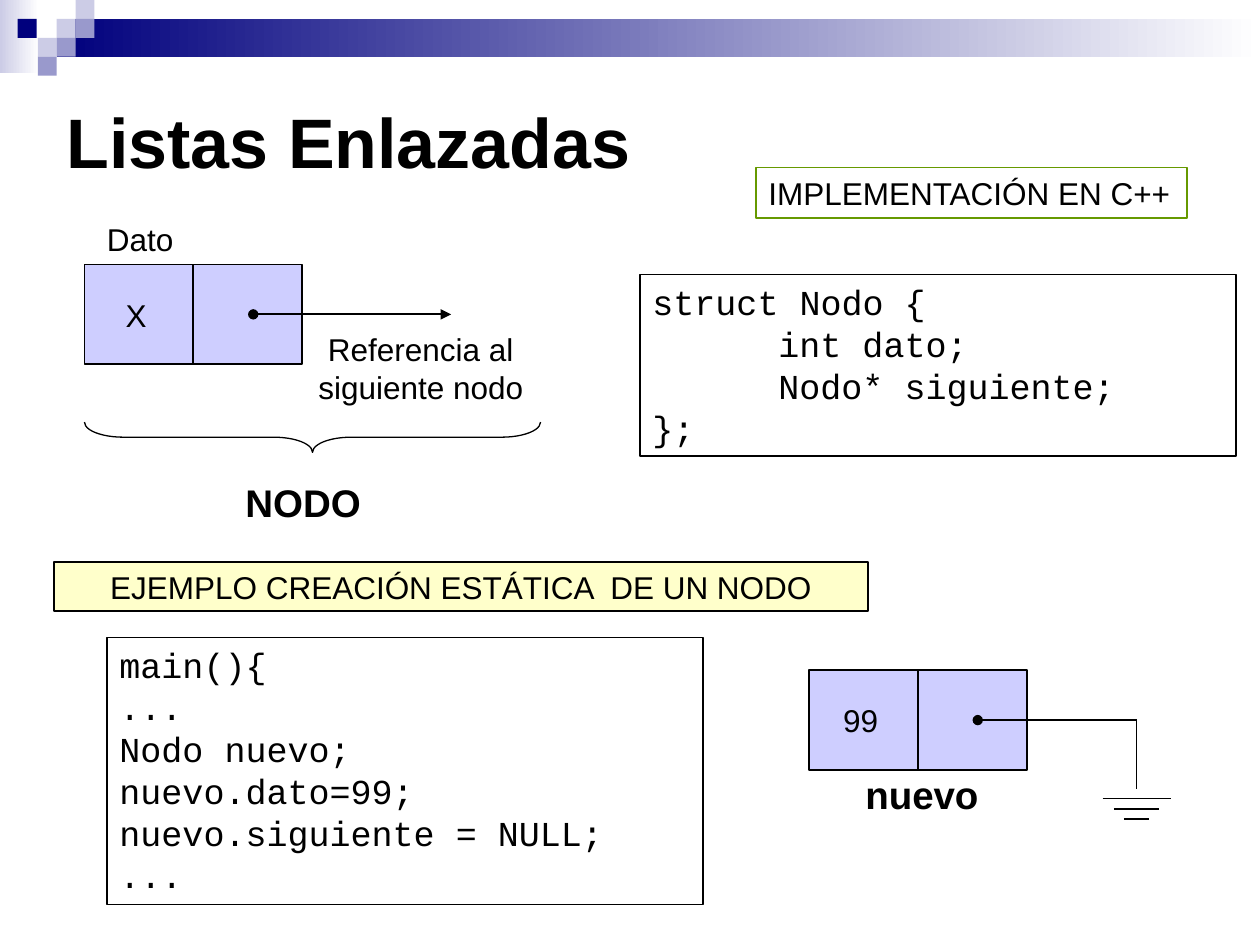
from lxml import etree
from pptx import Presentation
from pptx.dml.color import RGBColor
from pptx.enum import shapes, text
from pptx.oxml.ns import qn
from pptx.util import Inches, Pt

COLORS = {"black": "000000", "navy": "00007D", "pale": "CCCCE6", "lilac": "9999CC",
          "white": "FFFFFF", "node": "9999FF", "yellow": "FFFF99", "green": "669900"}
LABEL = {"name": "Arial", "size": Pt(18), "bold": False}
CAPTION = {"name": "Arial", "size": Pt(22), "bold": True}
TITLE = {"name": "Arial", "size": Pt(40), "bold": True}
CODE = {"name": "Courier New", "size": Pt(20), "bold": False}
STRUCT_CODE = ["struct Nodo {", "\tint dato;", "\tNodo* siguiente;", "};"]
MAIN_CODE = ["main(){", "...", "Nodo nuevo;", "nuevo.dato=99;",
             "nuevo.siguiente = NULL;", "..."]
CELL = 0.15
PIXELS = [(0.45, 0.15, "pale"), (0.6, 0, "pale"), (0.6, 0.15, "lilac"),
          (0.3, 0.3, "pale"), (0.14, 0.15, "navy"), (0.45, 0.3, "lilac"),
          (0.3, 0.45, "lilac")]
NODE_WIDTH, NODE_HEIGHT = 1.73, 0.79


def rgb(name):
    return RGBColor.from_string(COLORS[name])


def add_box(page, place, fill=None, line=None, width=0.75, alpha=None,
            kind=shapes.MSO_SHAPE.RECTANGLE):
    box = page.shapes.add_shape(kind, *map(Inches, place))
    box.shadow.inherit = False
    if fill:
        box.fill.solid()
        box.fill.fore_color.rgb = rgb(fill)
    else:
        box.fill.background()
    if alpha:
        color = box.fill._xPr.find(qn("a:solidFill"))[0]
        etree.SubElement(color, qn("a:alpha"), val=str(alpha * 1000))
    if line:
        box.line.color.rgb = rgb(line)
        box.line.width = Pt(width)
    else:
        box.line.fill.background()
    return box


def add_fade(page, place, start):
    """Draw a band that fades from the start colour to white."""
    box = add_box(page, place)
    box.fill.gradient()
    box.fill.gradient_angle = 0
    for stop, name in zip(box.fill.gradient_stops, (start, "white")):
        stop.color.rgb = rgb(name)


def write(box, lines, style, align="LEFT", anchor="TOP", wrap=True, is_code=False):
    frame = box.text_frame
    frame.word_wrap = wrap
    frame.vertical_anchor = getattr(text.MSO_ANCHOR, anchor)
    for index, line in enumerate(lines):
        para = frame.add_paragraph() if index else frame.paragraphs[0]
        para.alignment = getattr(text.PP_ALIGN, align)
        if is_code:
            para.line_spacing = Pt(24)
            tabs = etree.SubElement(para._p.get_or_add_pPr(), qn("a:tabLst"))
            etree.SubElement(tabs, qn("a:tab"), pos=str(Inches(1)), algn="l")
        span = para.add_run()
        span.text = line
        for key, value in style.items():
            setattr(span.font, key, value)
        span.font.color.rgb = rgb("black")


def add_text(page, place, line, style, **options):
    write(page.shapes.add_textbox(*map(Inches, place)), [line], style, **options)


def add_code(page, place, lines):
    write(add_box(page, place, line="black"), lines, CODE, is_code=True)


def add_line(page, start, end, width=0.75, head=None, tail=None):
    line = page.shapes.add_connector(shapes.MSO_CONNECTOR.STRAIGHT,
                                     *map(Inches, start + end))
    line.line.color.rgb = rgb("black")
    line.line.width = Pt(width)
    for tag, kind in (("a:headEnd", head), ("a:tailEnd", tail)):
        if kind:
            etree.SubElement(line.line._ln, qn(tag), type=kind)
    etree.SubElement(line._element.spPr, qn("a:effectLst"))
    return line


def add_node(page, left, top, value, reach, tail=None):
    """Draw a two-cell node whose pointer runs right as far as reach."""
    node = add_box(page, (left, top, NODE_WIDTH, NODE_HEIGHT), "node", "black", 1, 48)
    node.text_frame.margin_left = 0
    node.text_frame.margin_right = Inches(0.91)
    write(node, [value], LABEL, "CENTER", "MIDDLE")
    middle = left + NODE_WIDTH / 2
    divider = add_line(page, (middle, top), (middle, top + NODE_HEIGHT), 1)
    divider.begin_connect(node, 0)
    divider.end_connect(node, 2)
    level = top + NODE_HEIGHT / 2
    add_line(page, (left + 1.34, level), (reach, level), 1, "oval", tail)


def add_ground(page, center, top):
    """Draw the null symbol: a wire down to three shrinking bars."""
    add_line(page, (center, top), (center, top + 0.55))
    for index, half in enumerate((0.27, 0.18, 0.1)):
        level = top + 0.63 + 0.08 * index
        add_line(page, (center - half, level), (center + half, level))


def add_header(page):
    add_fade(page, (0, 0, 0.31, 0.58), "pale")
    add_fade(page, (0.45, 0.15, 9.55, 0.3), "navy")
    for left, top, color in PIXELS:
        add_box(page, (left, top, CELL, CELL), color)
    add_text(page, (0.43, 0.68, 9, 0.87), "Listas Enlazadas", TITLE, anchor="MIDDLE")


def add_definition(page):
    add_code(page, (5.08, 2.18, 4.73, 1.44), STRUCT_CODE)
    heading = add_box(page, (6, 1.33, 3.42, 0.4), line="green")
    write(heading, ["IMPLEMENTACIÓN EN C++"], LABEL, wrap=False)
    add_node(page, 0.67, 2.1, "X", 3.58, "triangle")
    add_text(page, (0.75, 1.7, 0.79, 0.4), "Dato", LABEL)
    add_text(page, (2.16, 2.57, 2.36, 0.7), "Referencia al siguiente nodo", LABEL,
             align="CENTER")
    add_text(page, (1.85, 3.75, 1.34, 0.47), "NODO", CAPTION)
    brace = add_box(page, (2.36, 1.66, 0.24, 3.62), line="black",
                    kind=shapes.MSO_SHAPE.RIGHT_BRACE)
    brace.rotation = 90
    brace.adjustments[0] = 1.28


def add_example(page):
    add_code(page, (0.85, 5.06, 4.73, 2.12), MAIN_CODE)
    add_text(page, (6.77, 6.07, 1.34, 0.47), "nuevo", CAPTION)
    add_node(page, 6.42, 5.32, "99", 9.02)
    add_ground(page, 9.02, 5.71)
    banner = add_box(page, (0.43, 4.46, 6.46, 0.39), "yellow", "black", alpha=50)
    write(banner, ["EJEMPLO CREACIÓN ESTÁTICA  DE UN NODO"], LABEL, "CENTER", "MIDDLE",
          wrap=False)


def main():
    deck = Presentation()
    deck.slide_width, deck.slide_height = Inches(10), Inches(7.5)
    page = deck.slides.add_slide(deck.slide_layouts[6])
    add_header(page)
    add_definition(page)
    add_example(page)
    deck.save("out.pptx")


if __name__ == "__main__":
    main()
